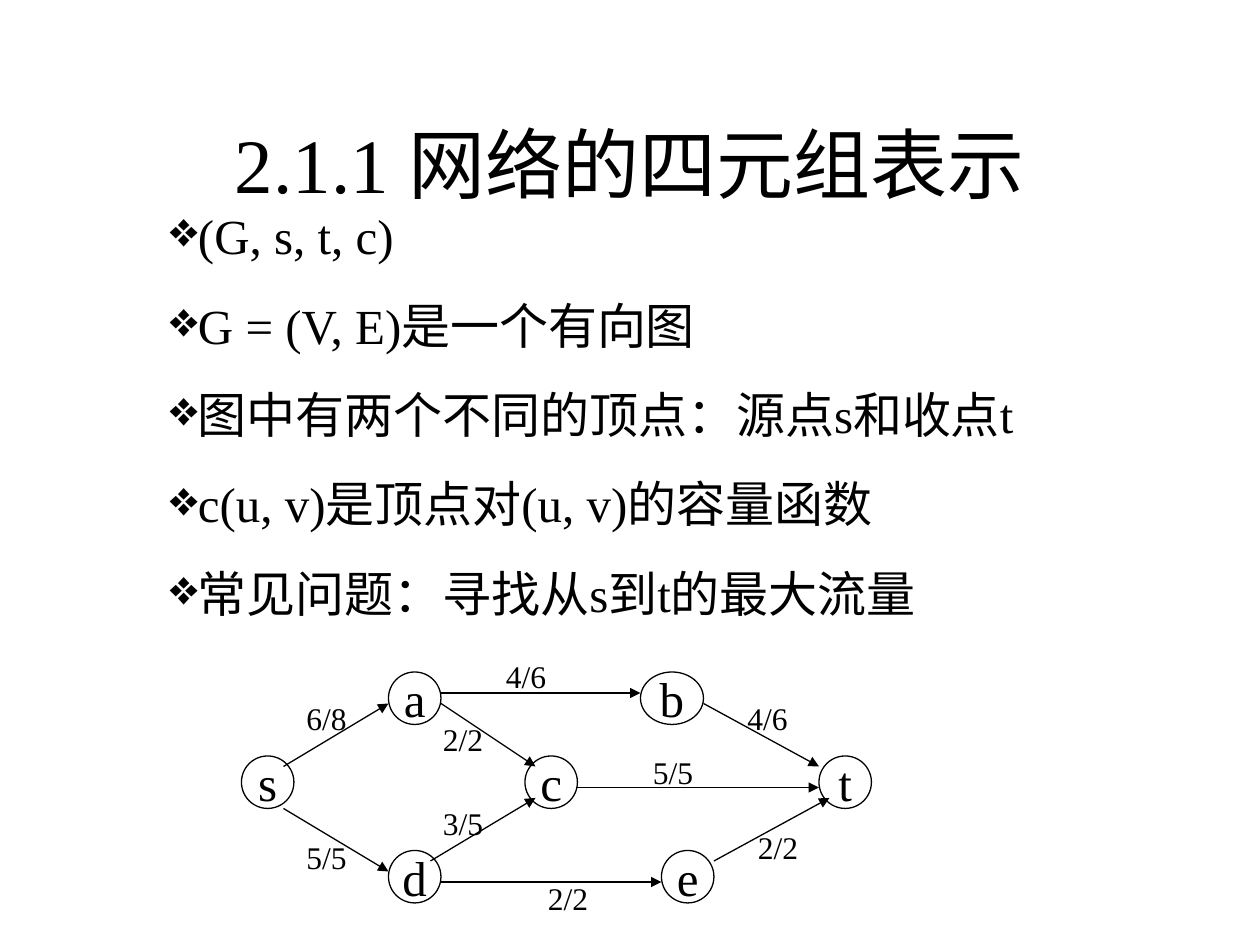
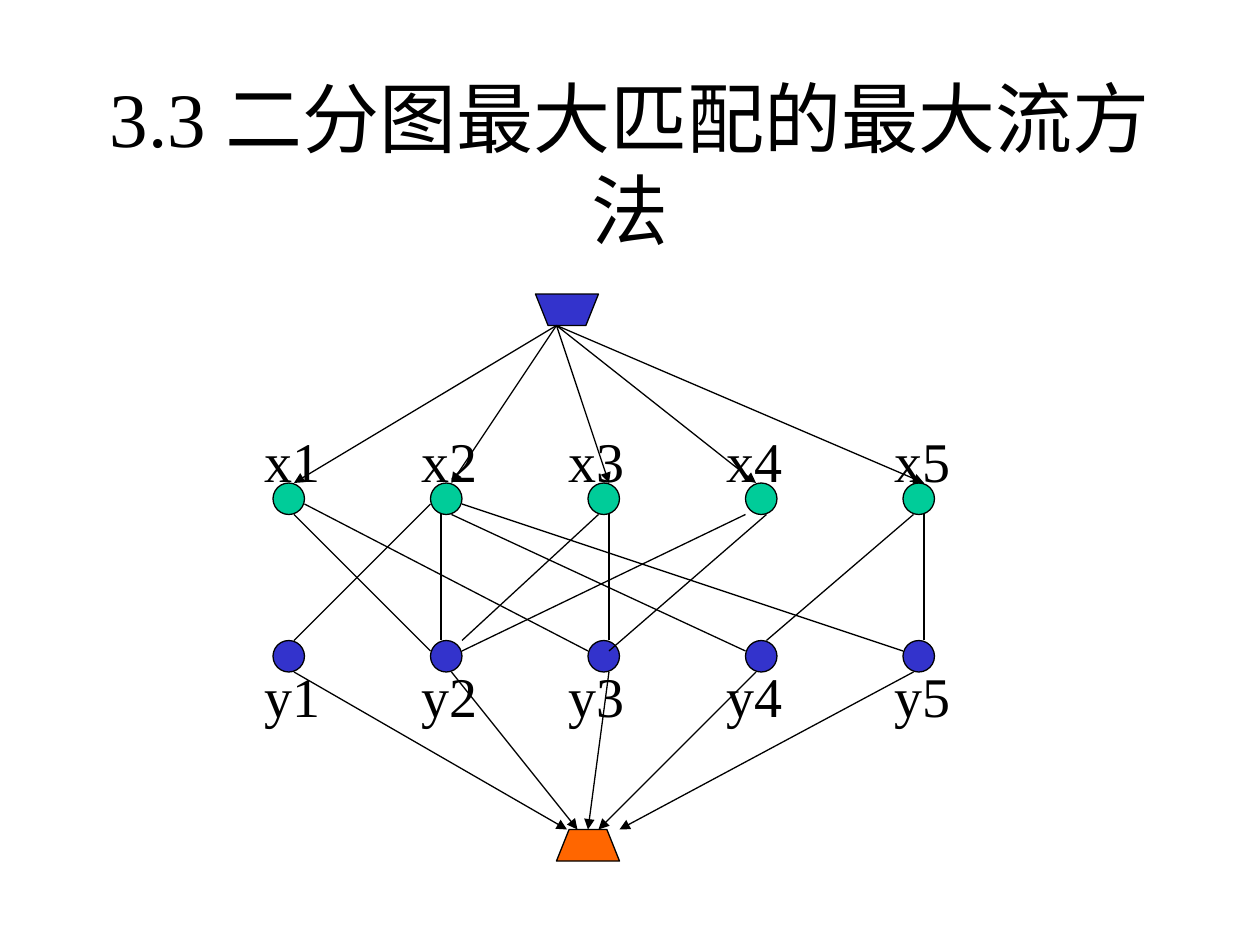
from lxml import etree
from pptx import Presentation
from pptx.dml.color import RGBColor
from pptx.enum.shapes import MSO_CONNECTOR, MSO_SHAPE
from pptx.enum.text import MSO_ANCHOR, MSO_AUTO_SIZE, PP_ALIGN
from pptx.oxml.ns import qn
from pptx.util import Emu, Pt

PX = 9525
BLANK = 6
OVAL = MSO_SHAPE.OVAL
TRAPEZOID = MSO_SHAPE.FLOWCHART_MANUAL_OPERATION
STRAIGHT = MSO_CONNECTOR.STRAIGHT
CENTER = PP_ALIGN.CENTER
MIDDLE = MSO_ANCHOR.MIDDLE
GROW = MSO_AUTO_SIZE.SHAPE_TO_FIT_TEXT

BLACK, WHITE = "000000", "FFFFFF"
GREEN, BLUE, ORANGE = "00CC99", "3333CC", "FF6600"


def px(*lengths):
    return [Emu(n * PX) for n in lengths]


def rgb(color):
    return RGBColor.from_string(color)


class Deck:
    """Holds the presentation, its style and the current slide."""

    font = "Times New Roman"
    line_width = Pt(0.75)

    def __init__(self):
        self.prs = Presentation()
        self.prs.slide_width, self.prs.slide_height = px(960, 720)

    def new_slide(self, title):
        layout = self.prs.slide_layouts[BLANK]
        self.shapes = self.prs.slides.add_slide(layout).shapes
        tf = self.text([title], 72, 64, 816, 120, 44)
        tf.auto_size = MSO_AUTO_SIZE.NONE
        tf.vertical_anchor = MIDDLE
        tf.paragraphs[0].alignment = CENTER

    def style_run(self, p, size):
        for r in p.runs:
            r.font.name = self.font
            r.font.size = Pt(size)
            r.font.color.rgb = rgb(BLACK)

    def text(self, lines, x, y, w, h, size):
        tf = self.shapes.add_textbox(*px(x, y, w, h)).text_frame
        tf.word_wrap = True
        tf.auto_size = GROW
        tf.text = "\n".join(lines)
        for p in tf.paragraphs:
            self.style_run(p, size)
        return tf

    def bullets(self, lines, x, y, w, h, size, gap):
        tf = self.text(lines, x, y, w, h, size)
        for i, p in enumerate(tf.paragraphs):
            pPr = p._p.get_or_add_pPr()
            etree.SubElement(pPr, qn("a:buChar"), char="❖")
            if i:
                p.space_before = Pt(gap)

    def shape(self, kind, x, y, w, h, fill, text=""):
        sp = self.shapes.add_shape(kind, *px(x, y, w, h))
        sp.shadow.inherit = False
        sp.fill.solid()
        sp.fill.fore_color.rgb = rgb(fill)
        sp.line.color.rgb = rgb(BLACK)
        sp.line.width = self.line_width
        if text:
            tf = sp.text_frame
            tf.text = text
            tf.word_wrap = False
            tf.vertical_anchor = MIDDLE
            tf.paragraphs[0].alignment = CENTER
            self.style_run(tf.paragraphs[0], 28)
        return sp

    def line(self, x1, y1, x2, y2, arrow=False):
        cxn = self.shapes.add_connector(STRAIGHT, *px(x1, y1, x2, y2))
        cxn.line.color.rgb = rgb(BLACK)
        cxn.line.width = self.line_width
        if arrow:
            ln = cxn.line._get_or_add_ln()
            etree.SubElement(ln, qn("a:tailEnd"), type="triangle")
        etree.SubElement(cxn._element.spPr, qn("a:effectLst"))


def network_slide(deck):
    deck.new_slide("2.1.1 网络的四元组表示")
    deck.bullets(
        [
            "(G, s, t, c)",
            "G = (V, E)是一个有向图",
            "图中有两个不同的顶点：源点s和收点t",
            "c(u, v)是顶点对(u, v)的容量函数",
            "常见问题：寻找从s到t的最大流量",
        ],
        120, 152, 728, 327, size=28, gap=17.5,
    )

    top, middle, bottom = 512, 576, 648
    nodes = [
        ("s", 184, middle, 40),
        ("a", 296, top, 40),
        ("b", 488, top, 48),
        ("d", 296, bottom, 40),
        ("c", 400, middle, 40),
        ("e", 504, bottom, 40),
        ("t", 624, middle, 40),
    ]
    for name, x, y, w in nodes:
        deck.shape(OVAL, x, y, w, 40, WHITE, name)

    # Ends of each edge, its flow/capacity and the corner of that label
    edges = [
        ((216, 584, 296, 536), "6/8", (224, 528)),
        ((216, 616, 296, 664), "5/5", (224, 634)),
        ((336, 528, 488, 528), "4/6", (376, 496)),
        ((336, 672, 504, 672), "2/2", (408, 665)),
        ((536, 536, 624, 584), "4/6", (560, 528)),
        ((544, 656, 632, 608), "2/2", (568, 626)),
        ((336, 536, 408, 584), "2/2", (328, 544)),
        ((328, 656, 408, 608), "3/5", (328, 608)),
        ((440, 600, 624, 600), "5/5", (488, 569)),
    ]
    for ends, flow, corner in edges:
        deck.line(*ends, arrow=True)
        deck.text([flow], *corner, 64, 38, 18)


def matching_slide(deck):
    deck.new_slide("3.3 二分图最大匹配的最大流方法")

    label_lefts = [192, 312, 424, 544, 672]
    rows = [("x", 368, GREEN, 320), ("y", 488, BLUE, 499)]
    for letter, dot_top, fill, label_top in rows:
        for i, label_left in enumerate(label_lefts):
            deck.shape(OVAL, 208 + 120 * i, dot_top, 24, 24, fill)
            deck.text([f"{letter}{i + 1}"], label_left, label_top, 72, 61, 32)

    pairs = [
        (224, 392, 328, 496),
        (232, 384, 448, 496),
        (328, 384, 224, 488),
        (344, 392, 568, 496),
        (352, 384, 688, 496),
        (336, 392, 336, 488),
        (456, 392, 352, 488),
        (464, 392, 464, 488),
        (568, 392, 352, 496),
        (584, 392, 464, 496),
        (696, 392, 584, 488),
        (704, 392, 704, 488),
    ]
    for ends in pairs:
        deck.line(*ends)

    deck.shape(TRAPEZOID, 408, 224, 48, 24, BLUE)
    sink = deck.shape(TRAPEZOID, 424, 632, 48, 24, ORANGE)
    sink.rotation = 180

    for x in (224, 344, 464, 576, 704):
        deck.line(424, 248, x, 368, arrow=True)
    sink_edges = [(224, 432), (344, 440), (464, 448), (576, 456), (696, 472)]
    for x1, x2 in sink_edges:
        deck.line(x1, 512, x2, 632, arrow=True)


def main():
    deck = Deck()
    network_slide(deck)
    matching_slide(deck)
    deck.prs.save("out.pptx")


if __name__ == "__main__":
    main()
